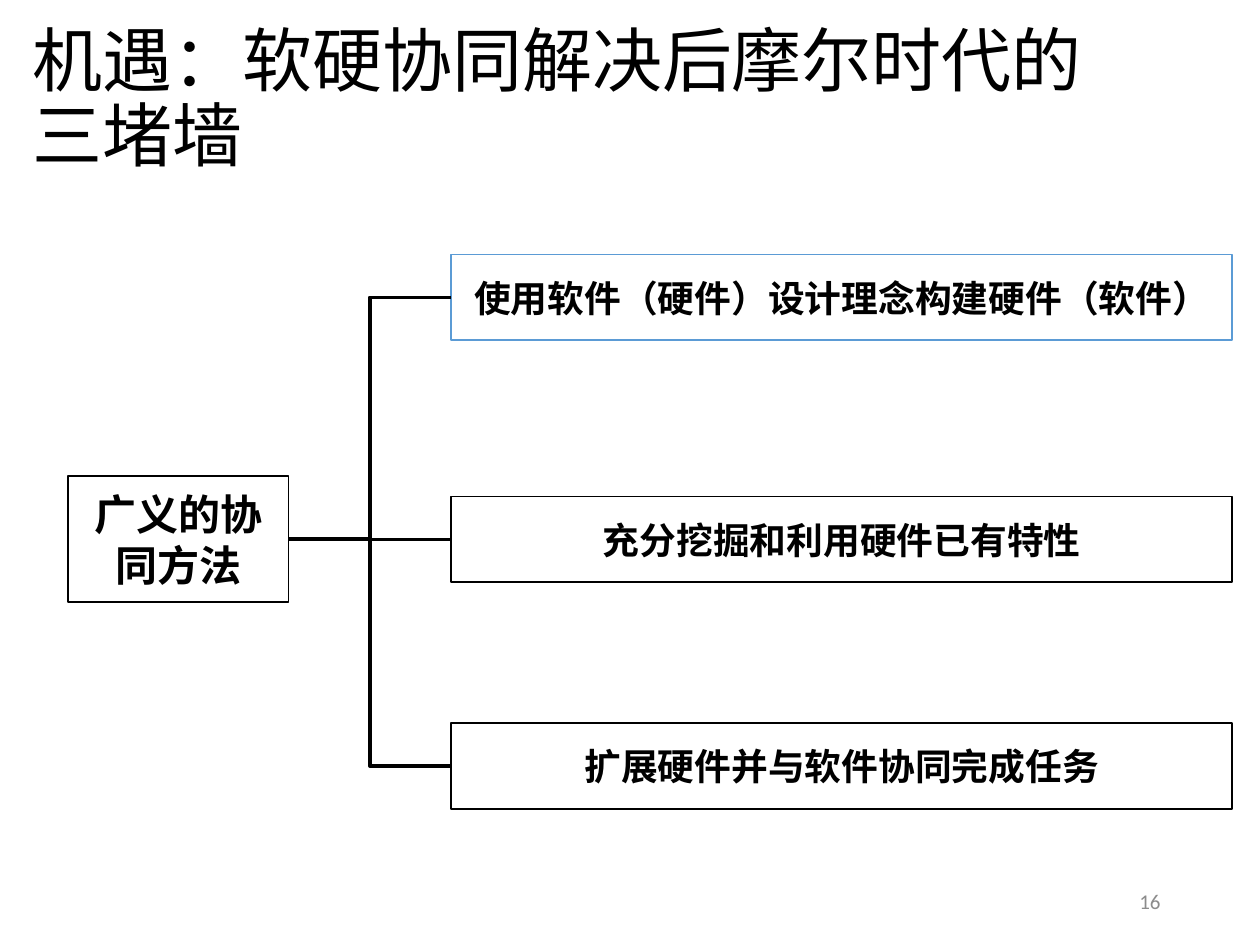
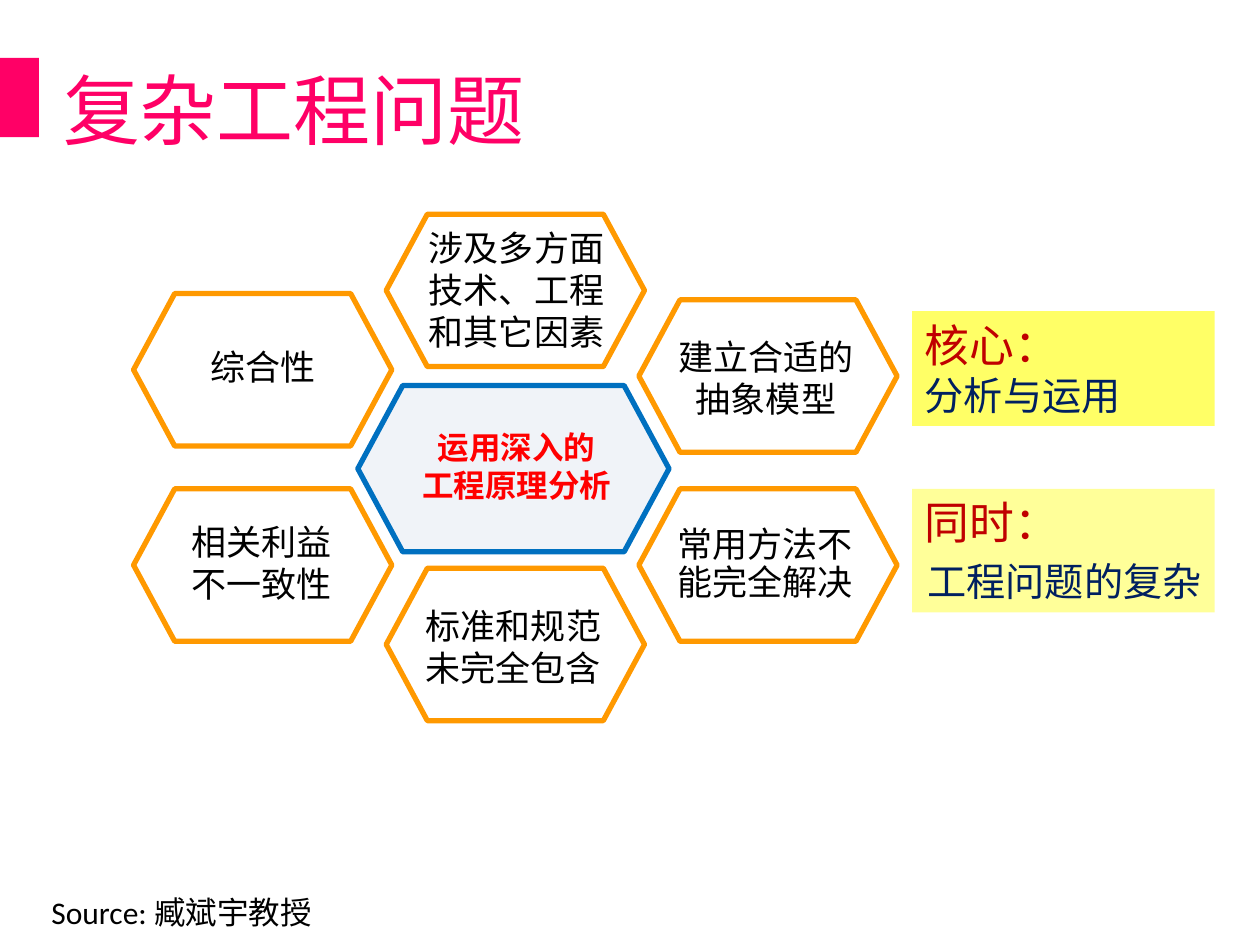
from lxml import etree
from pptx import Presentation
from pptx.dml.color import RGBColor
from pptx.enum.shapes import MSO_CONNECTOR, MSO_SHAPE
from pptx.enum.text import MSO_ANCHOR, MSO_AUTO_SIZE, PP_ALIGN
from pptx.oxml.ns import qn
from pptx.util import Inches, Pt

RECTANGLE, HEXAGON = MSO_SHAPE.RECTANGLE, MSO_SHAPE.HEXAGON
ELBOW, STRAIGHT = MSO_CONNECTOR.ELBOW, MSO_CONNECTOR.STRAIGHT
TOP, MIDDLE = MSO_ANCHOR.TOP, MSO_ANCHOR.MIDDLE
LEFT, CENTER, RIGHT = PP_ALIGN.LEFT, PP_ALIGN.CENTER, PP_ALIGN.RIGHT
TITLE_ONLY = 5
LEFT_SIDE, RIGHT_SIDE = 1, 3

CHINESE, LATIN = "Noto Sans CJK SC", "Calibri"
COLORS = {
    "black": "000000", "gray": "8C8C8C", "sky": "5B9BD5", "pink": "FF0066",
    "orange": "FF9900", "blue": "0070C0", "mist": "F0F3F8", "red": "FF0000",
    "crimson": "C00000", "navy": "002060", "yellow": "FFFF66", "cream": "FFFF99",
}

METHODS_TITLE = "机遇：软硬协同解决后摩尔时代的三堵墙"
ROOT = ("广义的协同方法", (0.54, 3.78, 1.75, 1))
BRANCHES = [
    ("使用软件（硬件）设计理念构建硬件（软件）", 2.02, "sky"),
    ("充分挖掘和利用硬件已有特性", 3.94, "black"),
    ("扩展硬件并与软件协同完成任务", 5.74, "black"),
]
BRANCH_LEFT, BRANCH_WIDTH, BRANCH_HEIGHT = 3.58, 6.2, 0.68
PAGE_NUMBER = "16"

PROBLEMS_TITLE = "复杂工程问题"
HEXAGON_LEFT, HEXAGON_STEP = 1.06, 2.005
HEXAGON_WIDTH, HEXAGON_HEIGHT = 2.05, 1.21
HEXAGON_SLANT = 0.27
FEATURES = [
    (2, 2.38, "建立合适的抽象模型", (5.25, 2.61, 1.66, 0.77), None),
    (2, 3.88, "常用方法不能完全解决", (5.26, 4.13, 1.63, 0.72), Pt(21.6)),
    (0, 2.33, "综合性", (1.55, 2.73, 1.08, 0.41), Pt(21.6)),
    (0, 3.88, "相关利益不一致性", (1.3, 4.08, 1.55, 0.77), None),
    (1, 1.7, "涉及多方面技术、工程和其它因素", (3.22, 1.75, 1.76, 1.11), None),
    (1, 4.51, "标准和规范未完全包含", (3.27, 4.75, 1.61, 0.77), None),
]
CORE_LINES = ["运用深入的", "工程原理分析"]
NOTES = [
    ("核心：", "分析与运用", 2.47, 0.91, "yellow", LEFT, 0),
    ("同时：", "工程问题的复杂", 3.88, 0.98, "cream", RIGHT, 4.8),
]
SOURCE = "Source: 臧斌宇教授"


def rgb(name):
    return RGBColor.from_string(COLORS[name])


def lengths(box):
    return [Inches(value) for value in box]


def line(text, size, color="black", bold=False, font=CHINESE, **paragraph_format):
    return text, size, color, bold, font, paragraph_format


def write(shape, lines, anchor=TOP, **frame_format):
    frame = shape.text_frame
    settings = {"word_wrap": True, "auto_size": MSO_AUTO_SIZE.NONE,
                "vertical_anchor": anchor, **frame_format}
    for name, value in settings.items():
        setattr(frame, name, value)
    for index, (text, size, color, bold, font, paragraph_format) in enumerate(lines):
        paragraph = frame.add_paragraph() if index else frame.paragraphs[0]
        for name, value in {"alignment": LEFT, **paragraph_format}.items():
            setattr(paragraph, name, value)
        run = paragraph.add_run()
        run.text = text
        for name, value in {"size": Pt(size), "bold": bold, "name": font}.items():
            setattr(run.font, name, value)
        run.font.color.rgb = rgb(color)
        east_asian = etree.Element(qn("a:ea"), typeface=CHINESE)
        run.font._element.find(qn("a:latin")).addnext(east_asian)


def add_title(slide, box, text_line):
    title = slide.shapes.title
    title.left, title.top, title.width, title.height = lengths(box)
    write(title, [text_line], MIDDLE)


def add_text(slide, box, lines, anchor=TOP, **frame_format):
    write(slide.shapes.add_textbox(*lengths(box)), lines, anchor, **frame_format)


def add_block(slide, kind, box, fill=None, outline=None, weight=1):
    shape = slide.shapes.add_shape(kind, *lengths(box))
    shape.shadow.inherit = False
    if fill:
        shape.fill.solid()
        shape.fill.fore_color.rgb = rgb(fill)
    else:
        shape.fill.background()
    if outline:
        shape.line.color.rgb = rgb(outline)
        shape.line.width = Pt(weight)
    else:
        shape.line.fill.background()
    return shape


def add_hexagon(slide, box, outline, fill=None):
    hexagon = add_block(slide, HEXAGON, box, fill, outline, 3)
    hexagon.adjustments[0] = HEXAGON_SLANT


def join(slide, root, branch):
    level = abs(root.top + root.height / 2 - branch.top - branch.height / 2) < Inches(0.01)
    connector = slide.shapes.add_connector(STRAIGHT if level else ELBOW, 0, 0, 0, 0)
    connector.begin_connect(root, RIGHT_SIDE)
    connector.end_connect(branch, LEFT_SIDE)
    connector.line.color.rgb = rgb("black")
    connector.line.width = Pt(2)
    etree.SubElement(connector._element.spPr, qn("a:effectLst"))


def build_methods(slide):
    add_title(slide, (0.16, 0.08, 8.99, 1.45), line(METHODS_TITLE, 40, line_spacing=0.9))
    add_text(slide, (7.06, 6.95, 2.25, 0.4),
             [line(PAGE_NUMBER, 12, "gray", font=LATIN, alignment=RIGHT)], MIDDLE)
    root_text, root_box = ROOT
    root = add_block(slide, RECTANGLE, root_box, outline="black")
    write(root, [line(root_text, 24, bold=True, alignment=CENTER)], MIDDLE)
    for text, top, outline in BRANCHES:
        box = (BRANCH_LEFT, top, BRANCH_WIDTH, BRANCH_HEIGHT)
        branch = add_block(slide, RECTANGLE, box, outline=outline)
        write(branch, [line(text, 21, bold=True, alignment=CENTER)], MIDDLE)
        join(slide, root, branch)


def build_problems(slide):
    add_title(slide, (0.4, 0.39, 8.92, 0.94), line(PROBLEMS_TITLE, 44, "pink"))
    add_block(slide, RECTANGLE, (0, 0.46, 0.31, 0.63), "pink")
    for column, top, *_ in FEATURES:
        left = HEXAGON_LEFT + column * HEXAGON_STEP
        add_hexagon(slide, (left, top, HEXAGON_WIDTH, HEXAGON_HEIGHT), "orange")
    add_hexagon(slide, (2.84, 3.06, 2.47, 1.32), "blue", "mist")
    no_margins = {f"margin_{side}": 0 for side in ("left", "top", "right", "bottom")}
    add_text(slide, (3.07, 3.29, 2.06, 0.81),
             [line(text, 18, "red", True, alignment=CENTER) for text in CORE_LINES],
             MIDDLE, **no_margins)
    for _, _, text, box, spacing in FEATURES:
        add_text(slide, box, [line(text, 20, alignment=CENTER, line_spacing=spacing)])
    for heading, text, top, height, fill, alignment, gap in NOTES:
        note = add_block(slide, RECTANGLE, (7.24, top, 2.4, height), fill)
        write(note, [line(heading, 25.6, "crimson"),
                     line(text, 22.4, "navy", alignment=alignment, space_before=Pt(gap))])
    add_text(slide, (0.31, 7.04, 2.66, 0.4), [line(SOURCE, 18, font=LATIN)])


def main():
    presentation = Presentation()
    presentation.slide_width, presentation.slide_height = Inches(10), Inches(7.5)
    layout = presentation.slide_layouts[TITLE_ONLY]
    for build in (build_methods, build_problems):
        build(presentation.slides.add_slide(layout))
    presentation.save("out.pptx")


if __name__ == "__main__":
    main()
